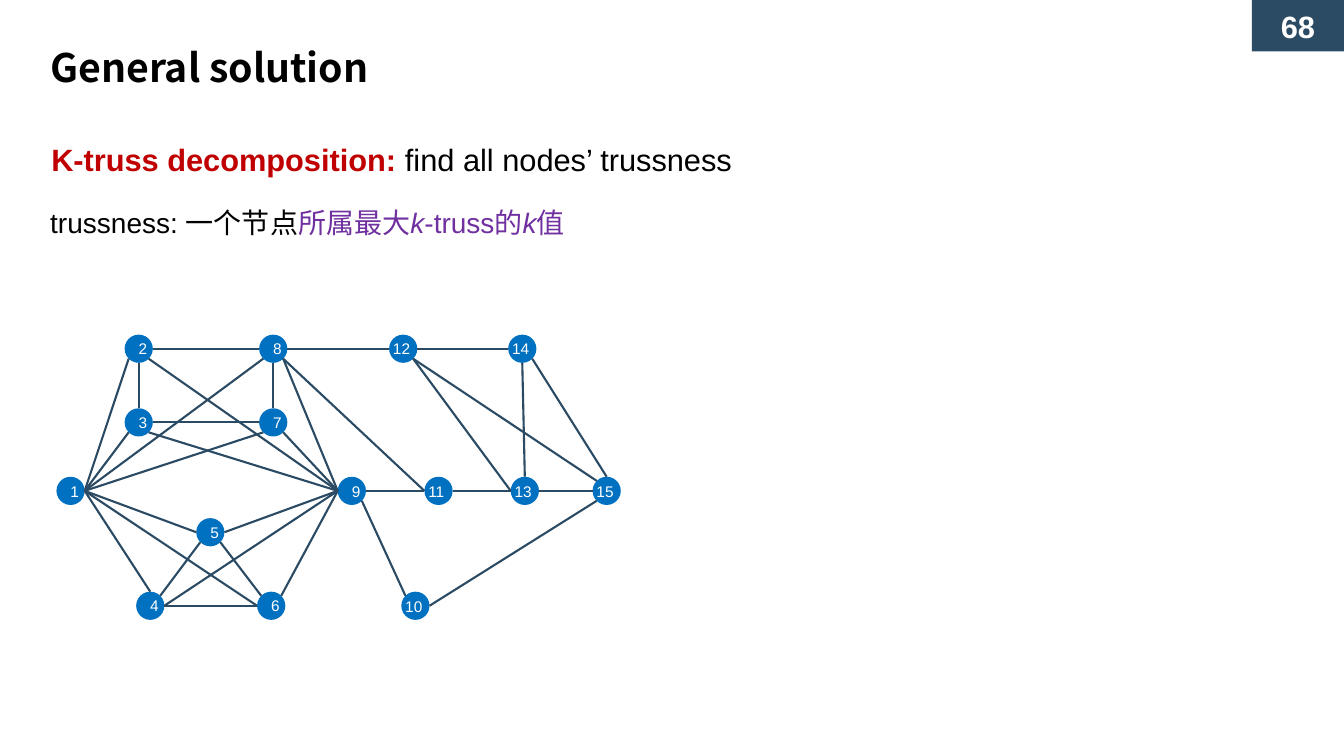
import math
import pptx
import pptx.chart.data
import pptx.dml.color
import pptx.enum.shapes
import pptx.enum.text
import pptx.oxml.ns
import pptx.util
from lxml import etree

WIDE, HIGH = 13.33, 7.5
SANS, HAN = "Arial", "Noto Sans CJK SC"
NAVY, BLUE, RED, PLUM = "2B4A63", "0070C0", "C00000", "7030A0"
BLACK, WHITE = "000000", "FFFFFF"
SIZE = 0.28

TITLE = [("General solution", BLACK, "b")]
TASK = [("K-truss decomposition: ", RED, "b"),
        ("find all nodes’ trussness", BLACK, "")]
TERM = [("trussness: 一个节点", BLACK, ""), ("所属最大", PLUM, ""),
        ("k", PLUM, "i"), ("-truss的", PLUM, ""),
        ("k", PLUM, "i"), ("值", PLUM, "")]
LINES = [
    (TITLE, HAN, 28, (3.75, 5.75, 75.54, 6.4), 0),
    (TASK, SANS, 22, (3.08, 18, 89.72, 6.27), 0.1),
    (TERM, SANS, 20, (3, 26.53, 44.49, 5.87), 0.1),
]

ROWS = {
    46.13: {2: 10.32, 8: 20.33, 12: 30, 14: 38.86},
    55.87: {3: 10.32, 7: 20.33},
    64.93: {1: 5.25, 9: 26.18, 11: 32.63, 13: 39.05, 15: 45.14},
    70.4: {5: 15.65},
    80.13: {4: 11.18, 6: 20.18, 10: 30.91},
}
SIDES = ["e", "se", "s", "sw", "w", "nw", "n", "ne"]
EDGES = {
    "1e": "2sw 8sw 3sw 7sw 5w 6w 4n",
    "9w": "3se 2se 8se 7se 5e 4e 6ne",
    "8w": "2e", "3n": "2s", "7n": "8s", "3e": "7w",
    "5se": "6nw", "5sw": "4ne", "4e": "6w",
    "8e": "12w", "12e": "14w", "8se": "11w",
    "9e": "11w", "11e": "13w", "13e": "15w",
    "12se": "13w 15nw", "14se": "15n", "14s": "13n",
    "9se": "10nw", "10e": "15sw",
}


def inch(*vals):
    return [pptx.util.Inches(val) for val in vals]


def share(left, top, width, height):
    return inch(left * WIDE / 100, top * HIGH / 100,
                width * WIDE / 100, height * HIGH / 100)


def tint(code):
    return pptx.dml.color.RGBColor.from_string(code)


def add_runs(part, runs, face, size):
    for text, code, style in runs:
        run = part.add_run()
        run.text = text
        font = run.font
        font.size = pptx.util.Pt(size)
        font.bold = "b" in style
        font.italic = "i" in style
        font.color.rgb = tint(code)
        font.name = face
        east = etree.SubElement(run._r.get_or_add_rPr(), pptx.oxml.ns.qn("a:ea"))
        east.set("typeface", HAN)


def add_text(slide, runs, face, size, place, inset):
    frame = slide.shapes.add_textbox(*place).text_frame
    frame.word_wrap = True
    frame.margin_left, frame.margin_right = inch(inset, inset)
    frame.margin_top, frame.margin_bottom = inch(inset / 2, inset / 2)
    add_runs(frame.paragraphs[0], runs, face, size)


def add_form(slide, kind, place, code):
    form = slide.shapes.add_shape(kind, *place)
    form.shadow.inherit = False
    form.fill.solid()
    form.fill.fore_color.rgb = tint(code)
    form.line.fill.background()
    return form


def add_label(form, runs, size):
    frame = form.text_frame
    frame.vertical_anchor = pptx.enum.text.MSO_ANCHOR.MIDDLE
    part = frame.paragraphs[0]
    part.alignment = pptx.enum.text.PP_ALIGN.CENTER
    add_runs(part, runs, SANS, size)


def find_end(name, spots):
    node = name.rstrip("nesw")
    turn = SIDES.index(name[len(node):]) * math.pi / 4
    x, y = spots[int(node)]
    return inch(x + SIZE / 2 * math.cos(turn), y + SIZE / 2 * math.sin(turn))


def add_edge(slide, start, end):
    edge = slide.shapes.add_connector(
        pptx.enum.shapes.MSO_CONNECTOR.STRAIGHT, *start, *end)
    edge.line.color.rgb = tint(NAVY)
    edge.line.width = pptx.util.Pt(1.5)
    etree.SubElement(edge._element.spPr, pptx.oxml.ns.qn("a:effectLst"))


def add_graph(slide):
    spots = {node: (x * WIDE / 100, y * HIGH / 100)
             for y, row in ROWS.items() for node, x in row.items()}
    oval = pptx.enum.shapes.MSO_SHAPE.OVAL
    for node, (x, y) in spots.items():
        place = inch(x - SIZE / 2, y - SIZE / 2, SIZE, SIZE)
        form = add_form(slide, oval, place, BLUE)
        if node < 10:
            add_label(form, [(str(node), WHITE, "")], 11)
    for start, ends in EDGES.items():
        for end in ends.split():
            add_edge(slide, find_end(start, spots), find_end(end, spots))
    for node, (x, y) in spots.items():
        if node >= 10:
            place = inch(x - 0.2, y - SIZE / 2, 0.51, 0.29)
            add_text(slide, [(str(node), WHITE, "")], SANS, 11, place, 0.1)


def main():
    deck = pptx.Presentation()
    deck.slide_width, deck.slide_height = inch(WIDE, HIGH)
    slide = deck.slides.add_slide(deck.slide_layouts[6])
    rect = pptx.enum.shapes.MSO_SHAPE.RECTANGLE
    badge = add_form(slide, rect, share(93.15, 0, 6.85, 6.8), NAVY)
    add_label(badge, [("68", WHITE, "b")], 22)
    for runs, face, size, place, inset in LINES:
        add_text(slide, runs, face, size, share(*place), inset)
    add_graph(slide)
    deck.save("out.pptx")


if __name__ == "__main__":
    main()
